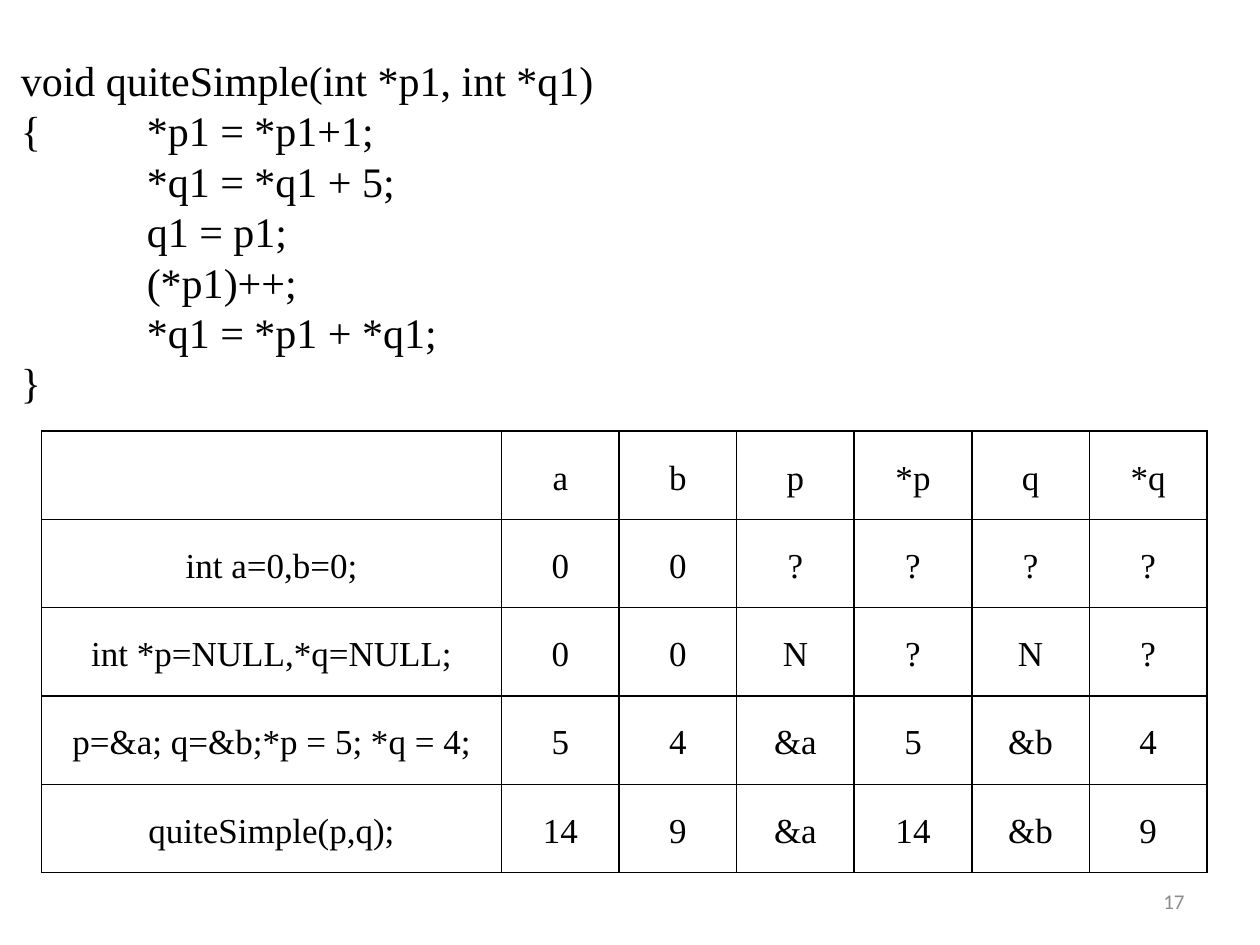
from lxml import etree
from pptx import Presentation
from pptx.dml.color import RGBColor
from pptx.enum.text import MSO_ANCHOR, MSO_AUTO_SIZE, PP_ALIGN
from pptx.oxml.ns import qn
from pptx.util import Cm, Pt

LEFT, CENTER, RIGHT = PP_ALIGN.LEFT, PP_ALIGN.CENTER, PP_ALIGN.RIGHT
MIDDLE = MSO_ANCHOR.MIDDLE
GROW = MSO_AUTO_SIZE.SHAPE_TO_FIT_TEXT

# Content
CODE = [
    "void quiteSimple(int *p1, int *q1)",
    "{\t*p1 = *p1+1;",
    "\t*q1 = *q1 + 5;",
    "\tq1 = p1;",
    "\t(*p1)++;",
    "\t*q1 = *p1 + *q1;",
    "}",
]
TRACE = [
    ("", "a", "b", "p", "*p", "q", "*q"),
    ("int a=0,b=0;", "0", "0", "?", "?", "?", "?"),
    ("int *p=NULL,*q=NULL;", "0", "0", "N", "?", "N", "?"),
    ("p=&a; q=&b;*p = 5; *q = 4;", "5", "4", "&a", "5", "&b", "4"),
    ("quiteSimple(p,q);", "14", "9", "&a", "14", "&b", "9"),
]
PAGE = "17"

# Formats
SERIF = "Times New Roman"
CODE_FONT = {"name": SERIF, "size": Pt(24)}
TRACE_FONT = {"name": SERIF, "size": Pt(20)}
PAGE_FONT = {"name": "Calibri", "size": Pt(12)}
CODE_FRAME = {
    "word_wrap": True, "auto_size": GROW, "vertical_anchor": MIDDLE,
    "margin_left": 0, "margin_right": 0, "margin_top": 0, "margin_bottom": Cm(0.36),
}
PAGE_FRAME = {"word_wrap": True, "vertical_anchor": MIDDLE}
CELL_FORMAT = {
    "vertical_anchor": MIDDLE, "margin_left": Cm(0.18), "margin_right": Cm(0.18),
    "margin_top": 0, "margin_bottom": 0,
}
STATEMENT_WIDTH, VALUE_WIDTH, ROW_HEIGHT = Cm(9.27), Cm(2.37), Cm(1.78)


def set_all(target, values):
    for name, value in values.items():
        setattr(target, name, value)


def set_color(color_format, value):
    color_format.rgb = RGBColor.from_string(value)


def write(paragraph, text, font, color, align):
    paragraph.text = text
    paragraph.alignment = align
    set_all(paragraph.font, font)
    set_color(paragraph.font.color, color)


def add_text(slide, box, frame_format, lines, font, color, align):
    frame = slide.shapes.add_textbox(*map(Cm, box)).text_frame
    set_all(frame, frame_format)
    for number, line in enumerate(lines):
        paragraph = frame.add_paragraph() if number else frame.paragraphs[0]
        write(paragraph, line, font, color, align)
    return frame


def add_tab_stop(paragraph, position):
    properties = paragraph._p.get_or_add_pPr()
    stops = etree.Element(qn("a:tabLst"))
    etree.SubElement(stops, qn("a:tab"), pos=str(position), algn="l")
    properties.insert(0, stops)


def add_borders(cell, color):
    properties = cell._tc.get_or_add_tcPr()
    for side in ("lnL", "lnR", "lnT", "lnB"):
        line = etree.SubElement(properties, qn(f"a:{side}"), w=str(Pt(1)))
        fill = etree.SubElement(line, qn("a:solidFill"))
        etree.SubElement(fill, qn("a:srgbClr"), val=color)


def add_trace(slide):
    rows, columns = len(TRACE), len(TRACE[0])
    widths = [STATEMENT_WIDTH] + [VALUE_WIDTH] * (columns - 1)
    table = slide.shapes.add_table(
        rows, columns, Cm(0.84), Cm(8.69), sum(widths), ROW_HEIGHT * rows).table
    table.first_row = table.horz_banding = False
    for column, width in zip(table.columns, widths):
        column.width = width
    for r, values in enumerate(TRACE):
        table.rows[r].height = ROW_HEIGHT
        for c, value in enumerate(values):
            cell = table.cell(r, c)
            set_all(cell, CELL_FORMAT)
            add_borders(cell, "000000")
            cell.fill.background()
            paragraph = cell.text_frame.paragraphs[0]
            write(paragraph, value, TRACE_FONT, "000000", CENTER)
            paragraph.line_spacing = 1.15


def main():
    deck = Presentation()
    deck.slide_width, deck.slide_height = Cm(25.4), Cm(19.05)
    slide = deck.slides.add_slide(deck.slide_layouts[6])

    # Page number
    add_text(slide, (18.2, 17.66, 5.93, 1.01), PAGE_FRAME, [PAGE], PAGE_FONT, "8C8C8C", RIGHT)

    # Variable trace
    add_trace(slide)

    # Function listing
    listing = add_text(slide, (0.42, 1.06, 25.4, 7.55), CODE_FRAME, CODE, CODE_FONT, "000000", LEFT)
    for paragraph in listing.paragraphs:
        add_tab_stop(paragraph, Cm(2.54))

    deck.save("out.pptx")


if __name__ == "__main__":
    main()
